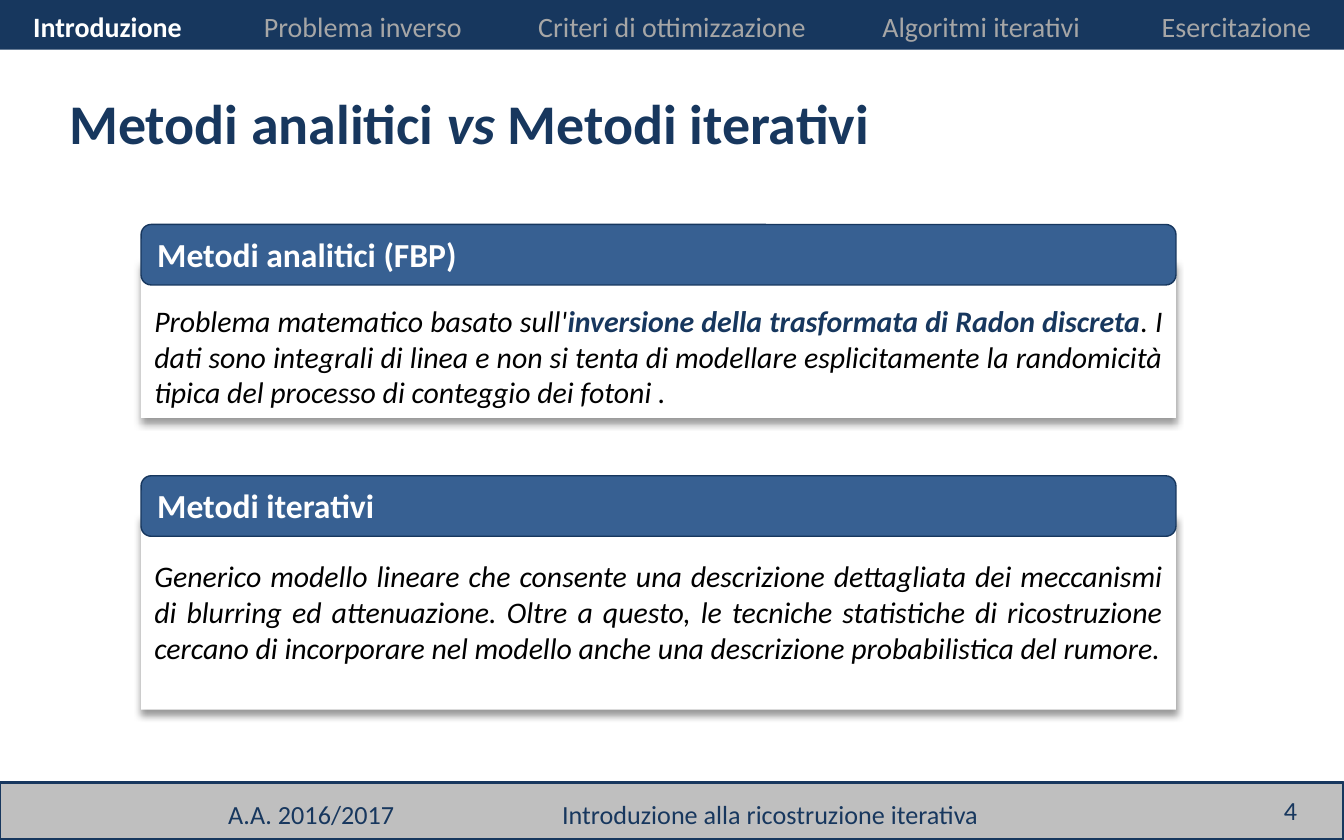
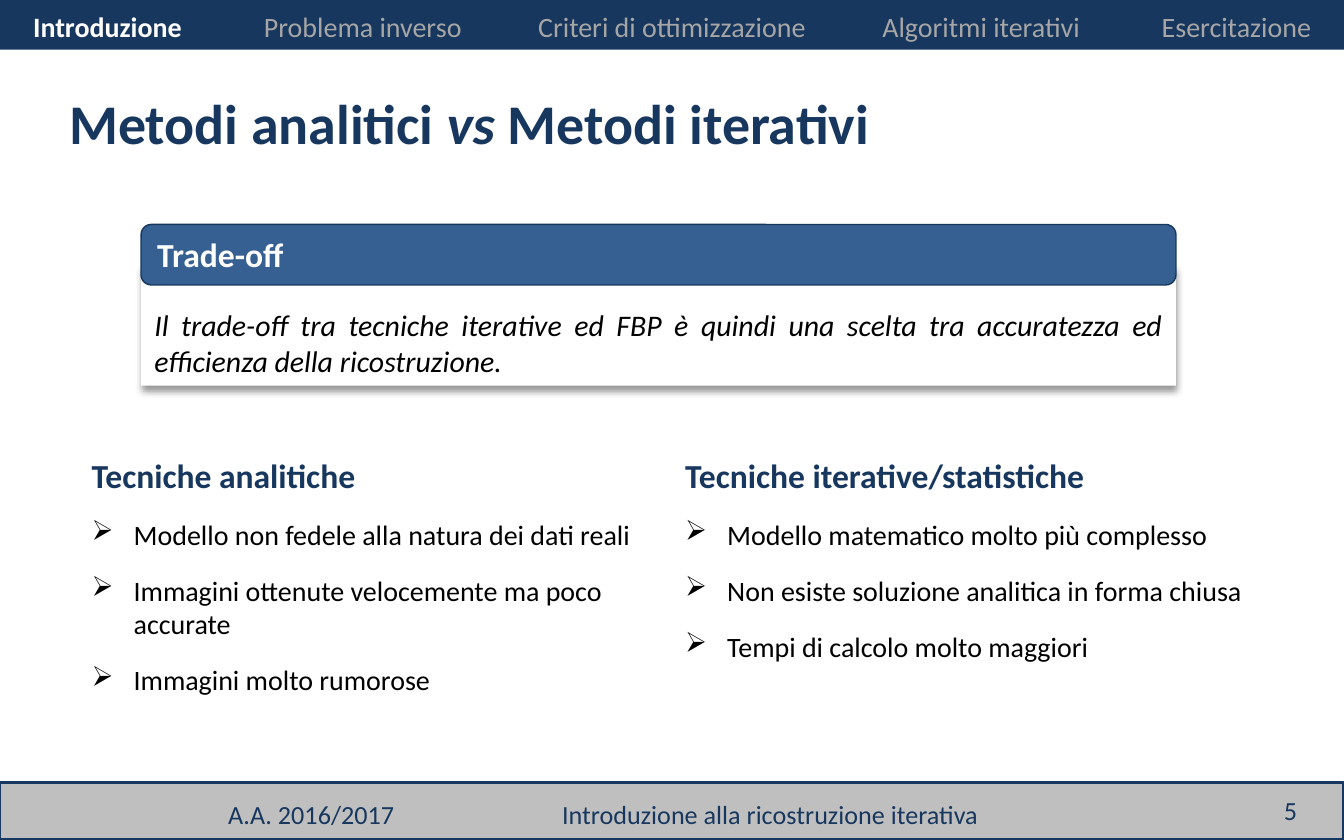
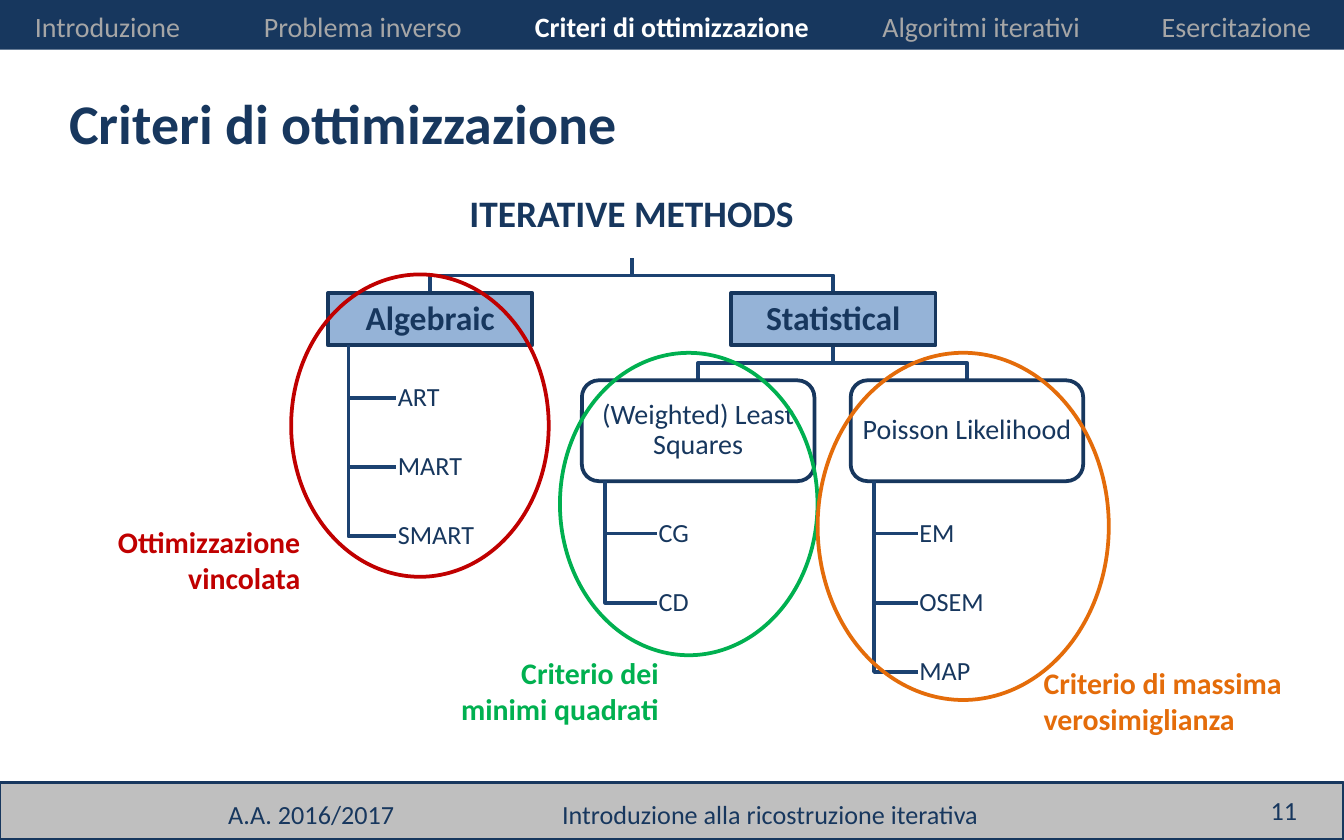
from lxml import etree
from pptx import Presentation
from pptx.dml.color import RGBColor
from pptx.enum.shapes import MSO_SHAPE
from pptx.enum.text import MSO_ANCHOR, PP_ALIGN
from pptx.oxml.ns import qn
from pptx.util import Inches, Pt

RECTANGLE, ROUNDED, ELLIPSE = MSO_SHAPE.RECTANGLE, MSO_SHAPE.ROUNDED_RECTANGLE, MSO_SHAPE.OVAL
TOP, MIDDLE = MSO_ANCHOR.TOP, MSO_ANCHOR.MIDDLE
LEFT, CENTER, RIGHT, JUSTIFY = PP_ALIGN.LEFT, PP_ALIGN.CENTER, PP_ALIGN.RIGHT, PP_ALIGN.JUSTIFY

WIDTH, HEIGHT = Inches(10), Inches(6.25)
COLUMNS = 120
CELL = WIDTH / COLUMNS
FONT = "Calibri"
NAVY, BLUE, PALE, BRANCH = "17375E", "376092", "95B3D7", "1C4271"
SILVER, MUTED, WHITE, BLACK = "BFBFBF", "A6A6A6", "FFFFFF", "000000"
RED, GREEN, ORANGE = "C00000", "00B050", "E46C0A"

SECTIONS = ["Introduzione", "Problema inverso", "Criteri di ottimizzazione",
            "Algoritmi iterativi", "Esercitazione"]
SECTION_CENTERS = [9.6, 32.4, 60, 87.6, 110.4]
VERSUS = [("Metodi analitici ", {}), ("vs ", {"italic": True}), ("Metodi iterativi", {})]
CARD_LEFT, CARD_WIDTH, CARD_HEADER = 12.6, 92.4, 5.4
LEAF_OFFSET, LEAF_STEP, LEAF_HEIGHT = 4.68, 6.18, 3
TIGHT = 0.12


def cells(count):
    return round(count * CELL)


def color(hex_value):
    return RGBColor.from_string(hex_value)


def add_xml(parent, tag, **attributes):
    return etree.SubElement(parent, qn(tag), attributes)


def set_line(shape, line, width):
    if line:
        shape.line.color.rgb = color(line)
        shape.line.width = Pt(width)
    else:
        shape.line.fill.background()


def add_box(page, kind, area, fill=None, line=None, width=1.5):
    box = page.shapes.add_shape(kind, *map(cells, area))
    box.shadow.inherit = False
    if fill:
        box.fill.solid()
        box.fill.fore_color.rgb = color(fill)
    else:
        box.fill.background()
    set_line(box, line, width)
    return box


def add_span(para, text, size=14, ink=NAVY, **formats):
    span = para.add_run()
    span.text = text
    span.font.color.rgb = color(ink)
    for name, value in {"name": FONT, "size": Pt(size), **formats}.items():
        setattr(span.font, name, value)


def write(box, spans, align=LEFT, anchor=TOP, margins=None, spacing=None, **formats):
    frame = box.text_frame
    frame.word_wrap = True
    frame.vertical_anchor = anchor
    for side, margin in (margins or {}).items():
        setattr(frame, f"margin_{side}", cells(margin))
    para = frame.paragraphs[0]
    para.alignment = align
    if spacing:
        para.line_spacing = spacing
    for text, changes in [(spans, {})] if isinstance(spans, str) else spans:
        add_span(para, text, **{**formats, **changes})
    return para


def add_text(page, area, spans, **formats):
    box = page.shapes.add_textbox(*map(cells, area))
    return write(box, spans, **formats)


def add_navigation(page, active):
    add_box(page, RECTANGLE, (0, 0, COLUMNS, 4.44), NAVY)
    spans = [("\t" + name, {"ink": WHITE, "bold": True} if name == active else {})
             for name in SECTIONS]
    para = add_text(page, (0, 0.24, COLUMNS, 4.2), spans, size=15, ink=MUTED,
                    margins={"left": 0, "right": 0})
    stops = add_xml(para._p.get_or_add_pPr(), "a:tabLst")
    for center in SECTION_CENTERS:
        add_xml(stops, "a:tab", pos=str(cells(center)), algn="ctr")


def add_page(deck, number, title, active):
    page = deck.slides.add_slide(deck.slide_layouts[6])
    add_box(page, RECTANGLE, (0, 69.84, COLUMNS, 5.16), SILVER, NAVY)
    add_text(page, (19.2, 70.68, 23, 4.1), "A.A. 2016/2017")
    add_text(page, (49, 70.68, 52, 4.1), "Introduzione alla ricostruzione iterativa")
    add_text(page, (104, 70.32, 13, 4), str(number), align=RIGHT, anchor=MIDDLE)
    add_text(page, (5, 7.3, 109, 7.3), title, size=30, bold=True)
    add_navigation(page, active)
    return page


def add_shadow(box):
    effects = box._element.spPr.find(qn("a:effectLst"))
    shadow = add_xml(effects, "a:outerShdw", blurRad=str(Pt(4)), dist=str(Pt(3)),
                     dir="5400000", algn="t", rotWithShape="0")
    shade = add_xml(shadow, "a:srgbClr", val=BLACK)
    add_xml(shade, "a:alpha", val="40000")


def add_card(page, header_top, body_top, body_height, heading, spans):
    body = add_box(page, RECTANGLE, (CARD_LEFT, body_top, CARD_WIDTH, body_height), WHITE)
    add_shadow(body)
    write(body, spans, align=JUSTIFY, margins={"top": 3.85}, size=16, ink=BLACK, italic=True)
    header = add_box(page, ROUNDED, (CARD_LEFT, header_top, CARD_WIDTH, CARD_HEADER),
                     BLUE, NAVY, 0.75)
    write(header, heading, size=18, ink=WHITE, bold=True)


def add_list(page, area, heading, items):
    title = add_text(page, area, heading, size=18, bold=True)
    title.space_after = Pt(12)
    frame = title._parent
    indent = cells(3.75)
    for item in items:
        para = frame.add_paragraph()
        para.space_after = Pt(12)
        add_span(para, item, size=15, ink=BLACK)
        properties = para._p.get_or_add_pPr()
        properties.set("marL", str(indent))
        properties.set("indent", str(-indent))
        add_xml(properties, "a:buChar", char="➢")


def add_branch(page, points):
    corners = [(cells(x), cells(y)) for x, y in points]
    builder = page.shapes.build_freeform(*corners[0])
    builder.add_line_segments(corners[1:], close=False)
    branch = builder.convert_to_shape()
    branch.shadow.inherit = False
    branch.fill.background()
    set_line(branch, BRANCH, 2)


def add_forks(page, start, centers, child_top):
    x, y = start
    middle = (y + child_top) / 2
    for center in centers:
        add_branch(page, [(x, y), (x, middle), (center, middle), (center, child_top)])


def write_node(box, text, **formats):
    margins = dict.fromkeys(("left", "top", "right", "bottom"), TIGHT)
    write(box, text, anchor=MIDDLE, margins=margins, spacing=0.9, **formats)


def add_node(page, kind, area, fill, text, **formats):
    write_node(add_box(page, kind, area, fill, NAVY, 2), text, align=CENTER, **formats)


def add_leaves(page, parent, leaf_left, names):
    left, top, width, height = parent
    spine, bottom = left + width / 10, top + height
    for index, name in enumerate(names):
        y = bottom + LEAF_OFFSET + index * LEAF_STEP
        add_branch(page, [(spine, bottom), (spine, y), (leaf_left, y)])
        area = (leaf_left, y - LEAF_HEIGHT / 2, 15, LEAF_HEIGHT)
        write_node(page.shapes.add_textbox(*map(cells, area)), name)


def add_tree(page):
    root = (40.2, 15.48, 32.4, 7.56)
    algebraic, statistical = [(left, 26.16, 18.24, 4.68) for left in (29.28, 65.28)]
    squares, likelihood = [(left, 33.96, 20.76, 9) for left in (51.96, 75.96)]
    add_forks(page, (56.4, 23.04), (38.4, 74.4), 26.16)
    add_forks(page, (74.4, 30.84), (62.34, 86.34), 33.96)
    write_node(page.shapes.add_textbox(*map(cells, root)), "ITERATIVE METHODS",
               align=CENTER, size=20, bold=True)
    for area, name in ((algebraic, "Algebraic"), (statistical, "Statistical")):
        add_node(page, RECTANGLE, area, PALE, name, size=18, bold=True)
    for area, name in ((squares, "(Weighted) Least Squares"),
                       (likelihood, "Poisson Likelihood")):
        add_node(page, ROUNDED, area, WHITE, name, size=15)
    families = [(algebraic, ["ART", "MART", "SMART"]), (squares, ["CG", "CD"]),
                (likelihood, ["EM", "OSEM", "MAP"])]
    for index, (parent, names) in enumerate(families):
        add_leaves(page, parent, 35.4 + 23.28 * index, names)


def add_criterion(page, ring, caption, text, ink, align):
    add_box(page, ELLIPSE, ring, line=ink, width=2)
    add_text(page, caption, text, size=16, ink=ink, bold=True, align=align)


def main():
    deck = Presentation()
    deck.slide_width, deck.slide_height = WIDTH, HEIGHT

    methods = add_page(deck, 4, VERSUS, SECTIONS[0])
    add_card(methods, 20.04, 23.16, 14.16, "Metodi analitici (FBP)", [
        ("Problema matematico basato sull'", {}),
        ("inversione della trasformata di Radon discreta", {"ink": NAVY, "bold": True}),
        (". I dati sono integrali di linea e non si tenta di modellare esplicitamente "
         "la randomicità tipica del processo di conteggio dei fotoni .", {})])
    add_card(methods, 42.48, 45.96, 17.4, "Metodi iterativi",
             "Generico modello lineare che consente una descrizione dettagliata dei "
             "meccanismi di blurring ed attenuazione. Oltre a questo, le tecniche "
             "statistiche di ricostruzione cercano di incorporare nel modello anche una "
             "descrizione probabilistica del rumore.")

    comparison = add_page(deck, 5, VERSUS, SECTIONS[0])
    add_card(comparison, 20.04, 23.52, 10.92, "Trade-off",
             "Il trade-off tra tecniche iterative ed FBP è quindi una scelta tra "
             "accuratezza ed efficienza della ricostruzione.")
    add_list(comparison, (60, 40, 56, 20), "Tecniche iterative/statistiche", [
        "Modello matematico molto più complesso",
        "Non esiste soluzione analitica in forma chiusa",
        "Tempi di calcolo molto maggiori"])
    add_list(comparison, (7, 40, 52, 23), "Tecniche analitiche", [
        "Modello non fedele alla natura dei dati reali",
        "Immagini ottenute velocemente ma poco accurate",
        "Immagini molto rumorose"])

    criteria = add_page(deck, 11, SECTIONS[2], SECTIONS[2])
    add_tree(criteria)
    add_criterion(criteria, (26, 24.5, 23, 27), (7, 46.2, 21, 7.7),
                  "Ottimizzazione vincolata", RED, RIGHT)
    add_criterion(criteria, (50, 31.5, 23, 27), (39, 57.84, 21, 7.7),
                  "Criterio dei minimi quadrati", GREEN, RIGHT)
    add_criterion(criteria, (73, 31.5, 26, 31), (92, 58.8, 25, 7.7),
                  "Criterio di massima verosimiglianza", ORANGE, LEFT)

    deck.save("out.pptx")


if __name__ == "__main__":
    main()
